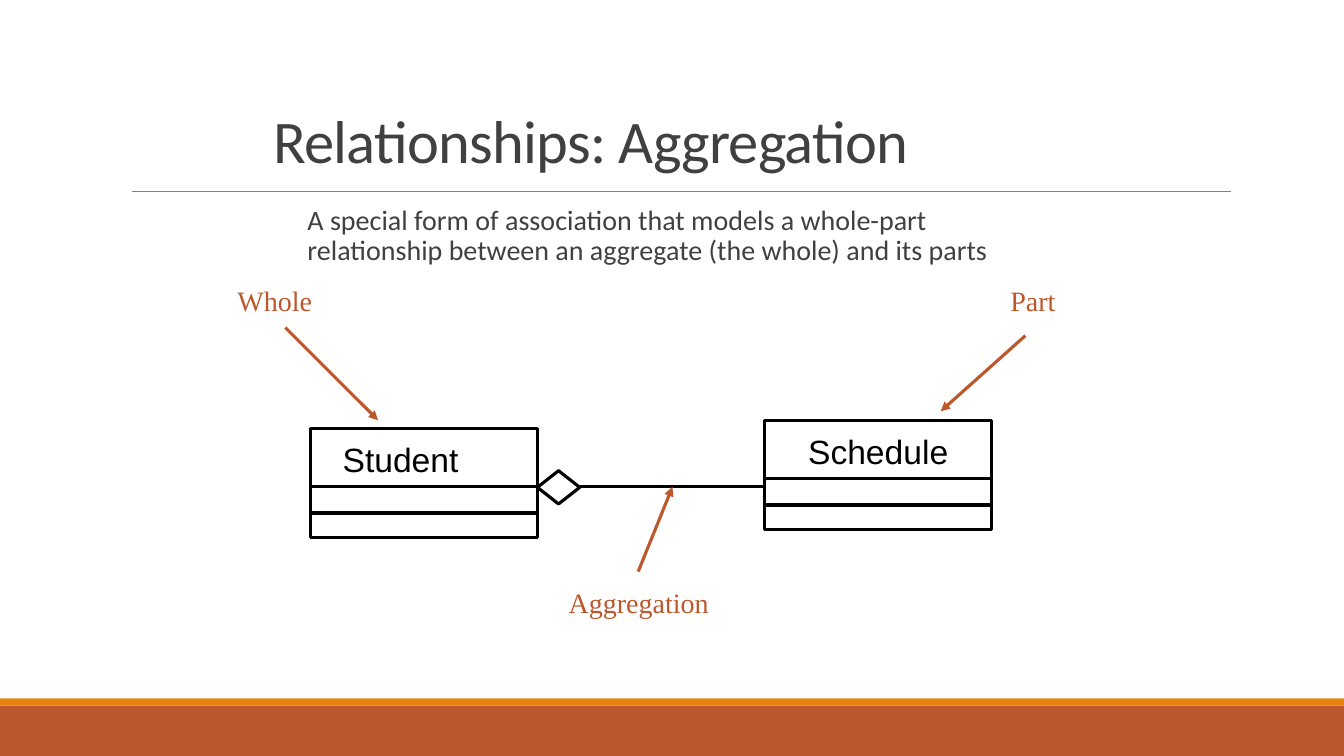
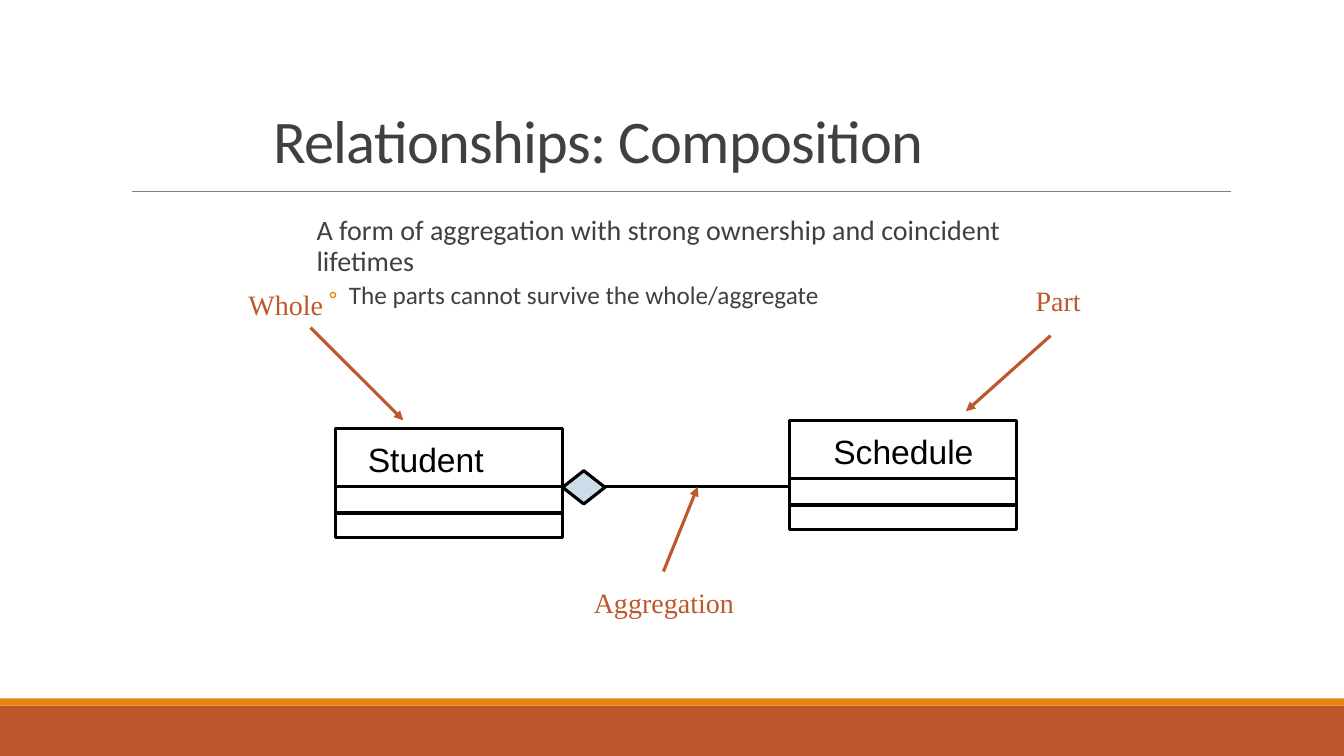
import pptx
import pptx.util
import pptx.dml.color
import pptx.enum.shapes
import pptx.enum.text
import pptx.oxml.ns
import lxml.etree

Inches = pptx.util.Inches
Pt = pptx.util.Pt
Shape = pptx.enum.shapes.MSO_SHAPE
Align = pptx.enum.text.PP_ALIGN
Anchor = pptx.enum.text.MSO_ANCHOR
qn = pptx.oxml.ns.qn


class Theme:
    rust = "BD582C"
    orange = "E48312"
    gray = "808080"
    dark = "404040"
    black = "000000"
    pale = "CCDDEA"
    main = "Calibri"
    label = "Times New Roman"
    uml = "Arial"
    title = 43.2
    name = 24
    body = 20
    sub = 18
    thick = 2.25
    thin = 0.5


def tint(code):
    return pptx.dml.color.RGBColor.from_string(code)


def add_tag(parent, tag, **values):
    return lxml.etree.SubElement(parent, qn(tag), **values)


def add_text(slide, box, text, size, font, color, align=Align.LEFT,
             anchor=Anchor.TOP, pad=(0.1, 0.05), leading=None, track=None):
    shape = slide.shapes.add_textbox(*map(Inches, box))
    frame = shape.text_frame
    frame.word_wrap = True
    frame.vertical_anchor = anchor
    frame.margin_left = frame.margin_right = Inches(pad[0])
    frame.margin_top = frame.margin_bottom = Inches(pad[1])
    add_para(frame.paragraphs[0], text, size, font, color, align, leading, track)
    return frame


def add_para(para, text, size, font, color, align=Align.LEFT, leading=None, track=None):
    para.alignment = align
    if leading:
        para.line_spacing = leading
    run = para.add_run()
    run.text = text
    run.font.size = Pt(size)
    run.font.name = font
    run.font.color.rgb = tint(color)
    if track:
        run.font._element.set("spc", str(int(track * 100)))


def add_block(slide, kind, box, fill=None, edge=None):
    shape = slide.shapes.add_shape(kind, *map(Inches, box))
    shape.shadow.inherit = False
    if fill:
        shape.fill.solid()
        shape.fill.fore_color.rgb = tint(fill)
    else:
        shape.fill.background()
    if edge:
        shape.line.color.rgb = tint(edge)
        shape.line.width = Pt(Theme.thick)
    else:
        shape.line.fill.background()


def add_line(slide, start, end, color=Theme.black, width=Theme.thick, arrow=False):
    kind = pptx.enum.shapes.MSO_CONNECTOR.STRAIGHT
    line = slide.shapes.add_connector(kind, *map(Inches, (*start, *end)))
    line.line.color.rgb = tint(color)
    line.line.width = Pt(width)
    props = line._element.spPr
    if arrow:
        add_tag(props.find(qn("a:ln")), "a:tailEnd", type="triangle")
    add_tag(props, "a:effectLst")


def add_frame(slide, title):
    add_block(slide, Shape.RECTANGLE, (0, 7, 13.33, 0.5), Theme.rust)
    add_block(slide, Shape.RECTANGLE, (0, 6.93, 13.33, 0.07), Theme.orange)
    add_line(slide, (1.31, 1.9), (12.21, 1.9), Theme.gray, Theme.thin)
    add_text(slide, (2.61, 1.01, 6.94, 0.78), title, Theme.title, Theme.main,
             Theme.dark, anchor=Anchor.BOTTOM, leading=0.85, track=-0.5)


def set_indent(para, left, first):
    props = para._p.get_or_add_pPr()
    props.set("marL", str(Inches(left)))
    props.set("indent", str(Inches(first)))
    return props


def add_body(slide, left, top, text, points):
    frame = add_text(slide, (left, top, 6.94, 1.2), text, Theme.body, Theme.main,
                     Theme.dark, pad=(0, 0.05), leading=0.9)
    frame.paragraphs[0].space_after = Pt(2)
    set_indent(frame.paragraphs[0], 0.1, 0)
    for point in points:
        para = frame.add_paragraph()
        add_para(para, point, Theme.sub, Theme.main, Theme.dark, leading=0.9)
        para.space_before = Pt(2)
        para.space_after = Pt(4)
        props = set_indent(para, 0.42, -0.2)
        add_tag(add_tag(props, "a:buClr"), "a:srgbClr", val=Theme.orange)
        add_tag(props, "a:buFont", typeface=Theme.main)
        add_tag(props, "a:buChar", char="◦")


def add_class(slide, left, top, name, align):
    wide = 2.25
    add_block(slide, Shape.RECTANGLE, (left, top, wide, 1.08), edge=Theme.black)
    add_text(slide, (left + 0.22, top + 0.06, 1.82, 0.5), name, Theme.name,
             Theme.uml, Theme.black, align)
    for drop in (0.58, 0.84):
        add_line(slide, (left, top + drop), (left + wide, top + drop))


def add_graph(slide, left, top, whole, fill):
    def at(x, y):
        return left + x, top + y

    add_class(slide, *at(0, 0.08), "Student", Align.LEFT)
    add_class(slide, *at(4.5, 0), "Schedule", Align.CENTER)
    add_line(slide, at(2.67, 0.66), at(4.5, 0.66))
    add_block(slide, Shape.DIAMOND, (*at(2.25, 0.5), 0.42, 0.33), fill, Theme.black)
    notes = (
        ("Whole", whole, (-0.25, -0.92), (0.67, 0)),
        ("Aggregation", (2.09, 1.58), (3.25, 1.5), (3.59, 0.66)),
        ("Part", (6, -1.42), (7.09, -0.84), (6.25, -0.09)),
    )
    for text, spot, start, end in notes:
        add_text(slide, (*at(*spot), 2.33, 0.45), text, Theme.body, Theme.label,
                 Theme.rust, Align.CENTER, pad=(0.12, 0.06))
        add_line(slide, at(*start), at(*end), Theme.rust, arrow=True)


def add_page(deck, title, body, graph):
    slide = deck.slides.add_slide(deck.slide_layouts[6])
    add_frame(slide, title)
    add_graph(slide, **graph)
    add_body(slide, **body)


def main():
    deck = pptx.Presentation()
    deck.slide_width = Inches(13.33)
    deck.slide_height = Inches(7.5)
    add_page(
        deck, "Relationships: Aggregation",
        dict(left=2.95, top=2, points=(),
             text="A special form of association that models a whole-part "
                  "relationship between an aggregate (the whole) and its parts"),
        dict(left=3.08, top=4.17, whole=(-1.52, -1.42), fill=None))
    add_page(
        deck, "Relationships: Composition",
        dict(left=3.04, top=2.1,
             text="A form of aggregation with strong ownership and coincident lifetimes",
             points=("The parts cannot survive the whole/aggregate",)),
        dict(left=3.33, top=4.17, whole=(-1.66, -1.38), fill=Theme.pale))
    deck.save("out.pptx")


if __name__ == "__main__":
    main()
